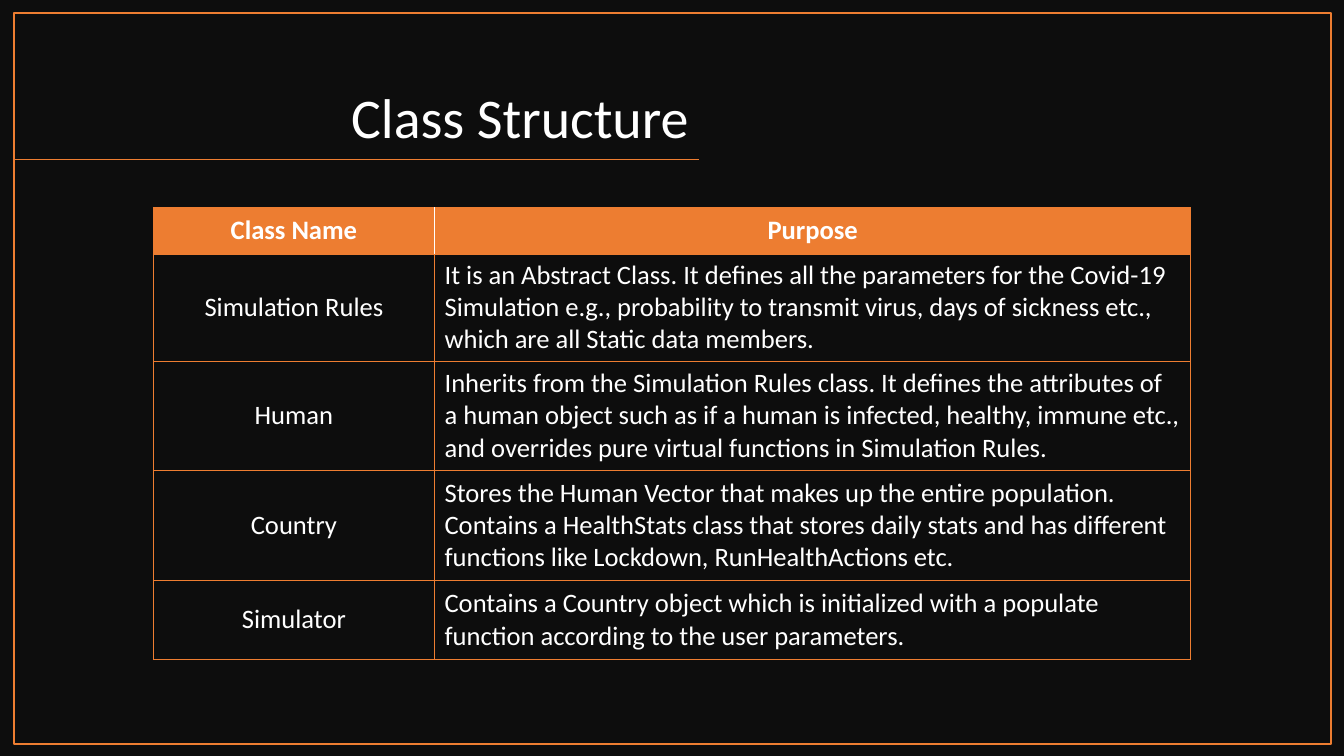
from dataclasses import dataclass

from lxml import etree
from pptx import Presentation
from pptx.dml.color import RGBColor
from pptx.enum.shapes import MSO_CONNECTOR, MSO_SHAPE
from pptx.enum.text import MSO_ANCHOR, PP_ALIGN
from pptx.oxml.ns import qn
from pptx.util import Inches, Pt

RECT = MSO_SHAPE.RECTANGLE
LINE = MSO_CONNECTOR.STRAIGHT
LEFT, CENTER, RIGHT = PP_ALIGN.LEFT, PP_ALIGN.CENTER, PP_ALIGN.RIGHT
MIDDLE, BOTTOM = MSO_ANCHOR.MIDDLE, MSO_ANCHOR.BOTTOM


@dataclass(frozen=True)
class Theme:
    """Colours, font and sizes of the slide."""
    back: str = "0D0D0D"
    accent: str = "ED7D31"
    text: str = "FFFFFF"
    font: str = "Calibri"
    title: int = 40
    body: int = 19
    rule: float = 1
    grid: float = 0.5


THEME = Theme()
WIDTH, HEIGHT = 13.33, 7.5
COLS = (2.79, 7.5)
ROWS = (0.46, 1.06, 1.09, 1.09, 0.78)
CLASSES = (
    ("Class Name", "Purpose"),
    ("Simulation Rules",
     "It is an Abstract Class. It defines all the parameters for the Covid-19 "
     "Simulation e.g., probability to transmit virus, days of sickness etc., "
     "which are all Static data members."),
    ("Human",
     "Inherits from the Simulation Rules class. It defines the attributes of "
     "a human object such as if a human is infected, healthy, immune etc., "
     "and overrides pure virtual functions in Simulation Rules."),
    ("Country",
     "Stores the Human Vector that makes up the entire population. "
     "Contains a HealthStats class that stores daily stats and has different "
     "functions like Lockdown, RunHealthActions etc."),
    ("Simulator",
     "Contains a Country object which is initialized with a populate "
     "function according to the user parameters."),
)


def color(code):
    """Turn a hex code into a colour."""
    return RGBColor.from_string(code)


def write(frame, text, size, align, bold=False):
    """Write one run into the first paragraph of a text frame."""
    para = frame.paragraphs[0]
    para.alignment = align
    run = para.add_run()
    run.text = text
    run.font.name = THEME.font
    run.font.size = Pt(size)
    run.font.bold = bold
    run.font.color.rgb = color(THEME.text)
    return para


def add_rect(slide, box, fill=None, line=None):
    """Add a plain rectangle with an optional fill and outline."""
    rect = slide.shapes.add_shape(RECT, *map(Inches, box))
    rect.shadow.inherit = False
    if fill:
        rect.fill.solid()
        rect.fill.fore_color.rgb = color(fill)
    else:
        rect.fill.background()
    if line:
        rect.line.color.rgb = color(line)
        rect.line.width = Pt(THEME.rule)
    else:
        rect.line.fill.background()


def add_title(slide, box, text, start):
    """Add the title and the rule under it, which runs from start."""
    left, top, width, height = box
    frame = slide.shapes.add_textbox(*map(Inches, box)).text_frame
    frame.word_wrap = True
    frame.vertical_anchor = BOTTOM
    write(frame, text, THEME.title, RIGHT).line_spacing = 0.9
    end, base = left + width, top + height + 0.04
    rule = slide.shapes.add_connector(LINE, *map(Inches, (end, base, start, base)))
    rule.line.color.rgb = color(THEME.accent)
    rule.line.width = Pt(THEME.rule)
    etree.SubElement(rule.element.spPr, qn("a:effectLst"))


def add_edge(cell, side, code, width):
    """Draw one border of a table cell."""
    props = cell._tc.get_or_add_tcPr()
    edge = etree.SubElement(props, qn(f"a:ln{side}"), w=str(Pt(width)))
    fill = etree.SubElement(edge, qn("a:solidFill"))
    etree.SubElement(fill, qn("a:srgbClr"), val=code)


def fill_cell(cell, text, head, first):
    """Style one table cell and write its text."""
    cell.vertical_anchor = MIDDLE
    inner = "R" if first else "L"
    for side in "LRTB":
        if head and side == inner:
            add_edge(cell, side, THEME.text, THEME.rule)
        else:
            add_edge(cell, side, THEME.accent, THEME.grid)
    if head:
        cell.fill.solid()
        cell.fill.fore_color.rgb = color(THEME.accent)
    else:
        cell.fill.background()
    align = CENTER if head or first else LEFT
    write(cell.text_frame, text, THEME.body, align, head)


def add_grid(slide, left, top):
    """Add the table of classes with its corner at left and top."""
    box = (left, top, sum(COLS), sum(ROWS))
    shape = slide.shapes.add_table(len(ROWS), len(COLS), *map(Inches, box))
    table = shape.table
    table.horz_banding = False
    for col, width in zip(table.columns, COLS):
        col.width = Inches(width)
    for r, (height, texts) in enumerate(zip(ROWS, CLASSES)):
        table.rows[r].height = Inches(height)
        for c, text in enumerate(texts):
            fill_cell(table.cell(r, c), text, r == 0, c == 0)


def main():
    """Build the slide and save it."""
    deck = Presentation()
    deck.slide_width, deck.slide_height = Inches(WIDTH), Inches(HEIGHT)
    slide = deck.slides.add_slide(deck.slide_layouts[6])
    frame = (0.14, 0.13, 13.06, 7.25)
    add_rect(slide, (0, 0, WIDTH, HEIGHT), fill=THEME.back)
    add_title(slide, (0.92, 0.42, 6.01, 1.12), "Class Structure", frame[0])
    add_rect(slide, frame, line=THEME.accent)
    add_grid(slide, 1.52, 2.06)
    deck.save("out.pptx")


if __name__ == "__main__":
    main()
